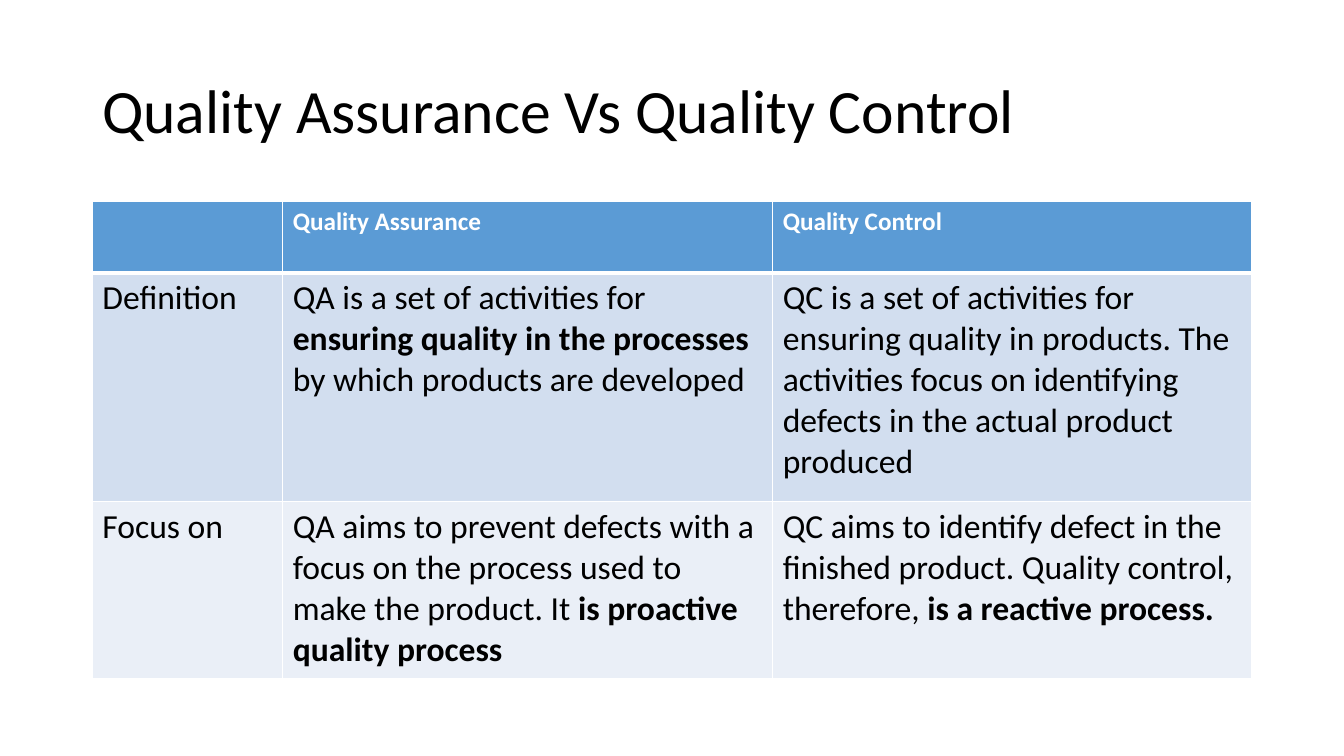
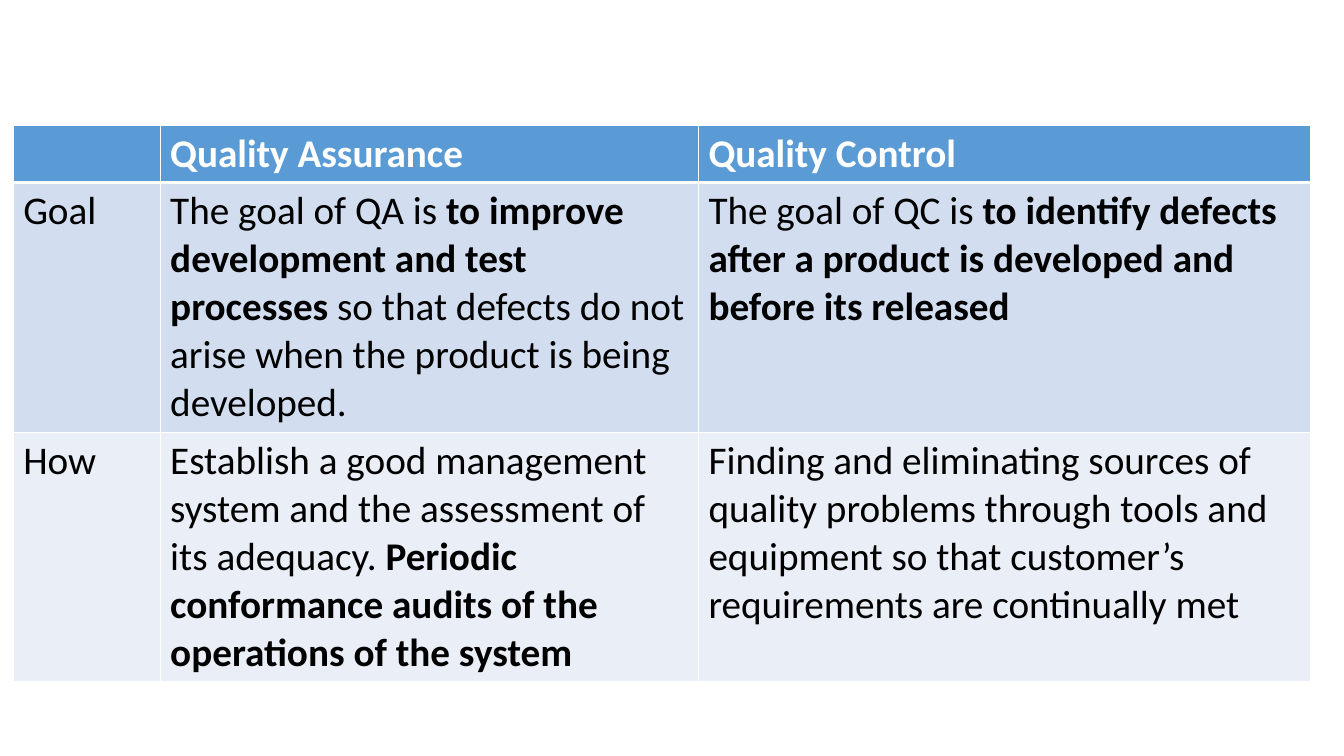
from lxml.etree import SubElement
from pptx import Presentation
from pptx.dml.color import RGBColor
from pptx.enum.text import MSO_ANCHOR
from pptx.oxml.ns import qn
from pptx.util import Pt

COLORS = {"header": "5B9BD5", "band_dark": "D2DEEF", "band_light": "EAEFF7",
          "white": "FFFFFF", "black": "000000"}
FONT = "Calibri"
HEADER = ("", "Quality Assurance", "Quality Control")

# Content: text between ** marks is bold
SLIDES = [
    {"title": "Quality Assurance Vs Quality Control",
     "at": (66, 144), "cols": (136, 350, 342), "rows": (51, 163.5, 126),
     "header_size": 18, "body_size": 24,
     "body": [
         ("Definition",
          "QA is a set of activities for **ensuring quality in the processes **"
          "by which products are developed",
          "QC is a set of activities for ensuring quality in products. The "
          "activities focus on identifying defects in the actual product produced"),
         ("Focus on",
          "QA aims to prevent defects with a focus on the process used to make "
          "the product. It **is proactive quality process**",
          "QC aims to identify defect in the finished product. Quality control, "
          "therefore, **is a reactive process.**"),
     ]},
    {"title": None,
     "at": (9.4, 89.3), "cols": (105, 384.5, 437), "rows": (41, 178.5, 178),
     "header_size": 28, "body_size": 28,
     "body": [
         ("Goal",
          "The goal of QA is **to improve development and test processes **so "
          "that defects do not arise when the product is being developed.",
          "The goal of QC is **to identify defects after a product is developed "
          "and before its released**"),
         ("How",
          "Establish a good management system and the assessment of its "
          "adequacy. **Periodic conformance audits of the operations of the "
          "system**",
          "Finding and eliminating sources of quality problems through tools and "
          "equipment so that customer’s requirements are continually met"),
     ]},
]


def write(tf, text, size, color="black", bold=False, spacing=None):
    """Fill a text frame; ** switches bold on and off."""
    tf.word_wrap = True
    p = tf.paragraphs[0]
    if spacing:
        p.line_spacing = spacing
    for i, part in enumerate(text.split("**")):
        if part:
            r = p.add_run()
            r.text = part
            r.font.name, r.font.size = FONT, Pt(size)
            r.font.bold = bold or i % 2 == 1
            r.font.color.rgb = RGBColor.from_string(COLORS[color])


def set_borders(cell, top, bottom):
    """White cell borders; call before the fill is set."""
    tc_pr = cell._tc.get_or_add_tcPr()
    for side, width in (("L", 1), ("R", 1), ("T", top), ("B", bottom)):
        ln = SubElement(tc_pr, qn(f"a:ln{side}"), w=str(Pt(width)))
        fill = SubElement(ln, qn("a:solidFill"))
        SubElement(fill, qn("a:srgbClr"), val=COLORS["white"])


def add_title(s, text):
    tf = s.shapes.add_textbox(Pt(66), Pt(28.8), Pt(828), Pt(104.4)).text_frame
    tf.vertical_anchor = MSO_ANCHOR.MIDDLE
    write(tf, text, 44, spacing=0.9)


def add_comparison(s, data):
    cols, rows = data["cols"], data["rows"]
    left, top = data["at"]
    table = s.shapes.add_table(len(rows), len(cols), Pt(left), Pt(top),
                               Pt(sum(cols)), Pt(sum(rows))).table
    for column, width in zip(table.columns, cols):
        column.width = Pt(width)
    for row, height in zip(table.rows, rows):
        row.height = Pt(height)

    fills = ("header", "band_dark", "band_light")
    for i, texts in enumerate([HEADER] + data["body"]):
        is_header = i == 0
        for j, text in enumerate(texts):
            cell = table.cell(i, j)
            # The rule under the header is thicker
            set_borders(cell, top=3 if i == 1 else 1, bottom=3 if is_header else 1)
            cell.fill.solid()
            cell.fill.fore_color.rgb = RGBColor.from_string(COLORS[fills[i]])
            write(cell.text_frame, text,
                  data["header_size"] if is_header else data["body_size"],
                  color="white" if is_header else "black", bold=is_header)


def main():
    prs = Presentation()
    prs.slide_width, prs.slide_height = Pt(960), Pt(540)
    for data in SLIDES:
        s = prs.slides.add_slide(prs.slide_layouts[6])
        if data["title"]:
            add_title(s, data["title"])
        add_comparison(s, data)
    prs.save("out.pptx")


if __name__ == "__main__":
    main()
